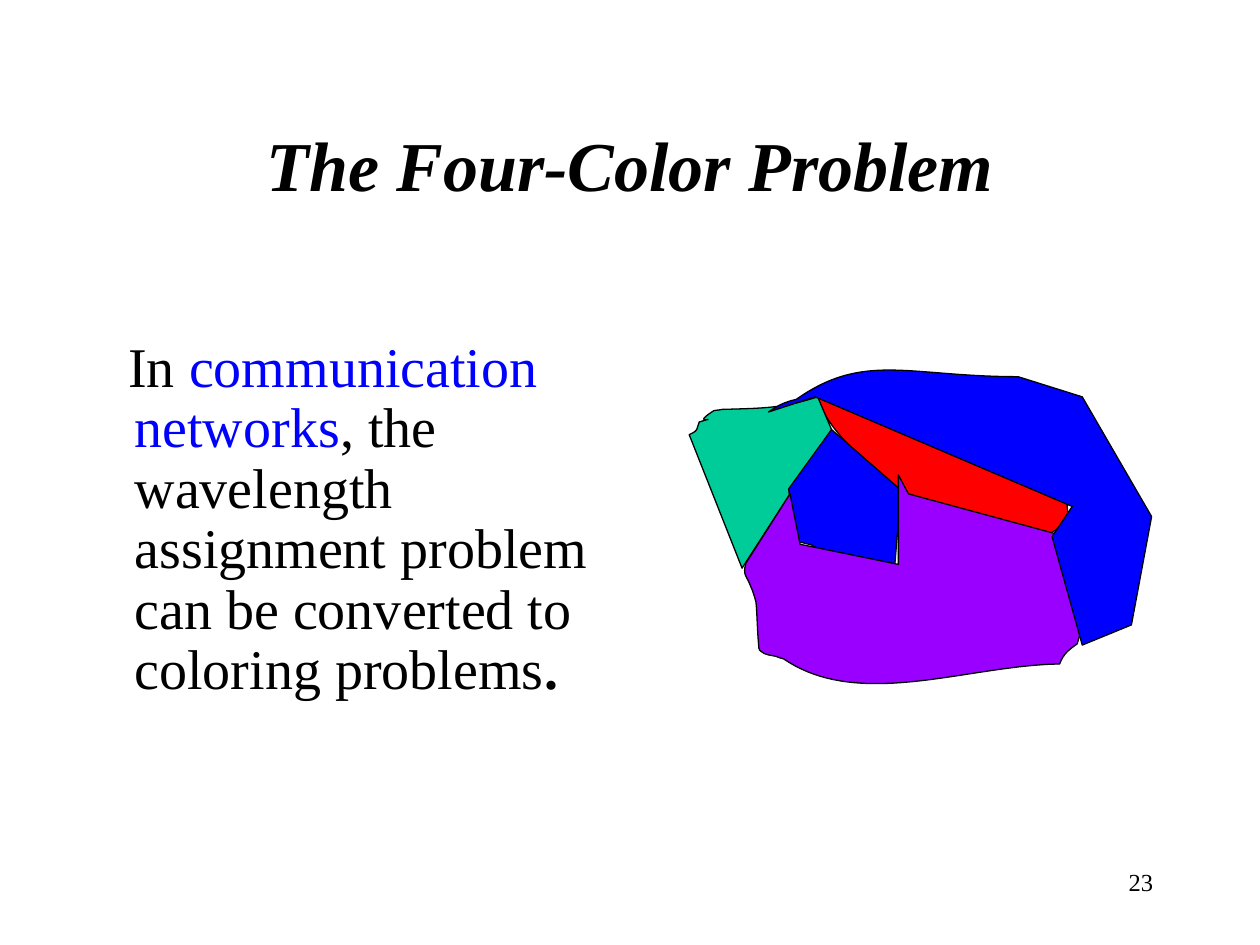
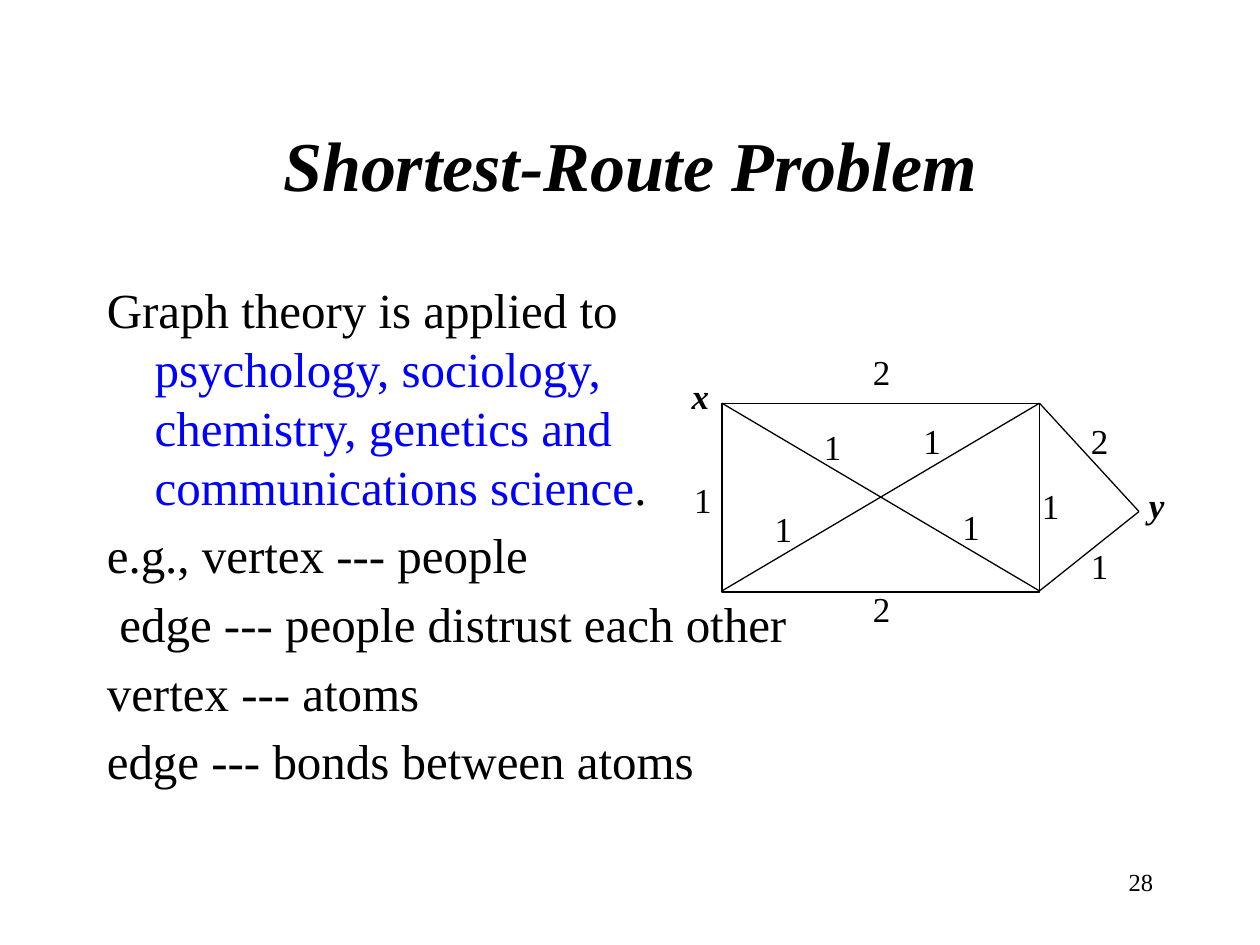
from pptx import Presentation
from pptx.dml.color import RGBColor
from pptx.enum import shapes, text
from pptx.oxml import ns
from pptx.util import Inches, Pt
from lxml import etree

# Shared style
FONT = "Times New Roman"
BLACK, BLUE, RED, GREEN, PURPLE = "000000", "0000FF", "FF0000", "00CC99", "9900FF"
OUTLINE = Pt(0.75)
HANGING = 0.38

# Map regions, back to front: a pair is a straight step,
# six numbers are a cubic curve (two control points and an end).
REGIONS = [
    (RED, (6.49, 3.15), [
        (6.55, 3.38, 6.77, 3.56, 6.92, 3.72), (6.96, 3.76, 7.02, 3.78, 7.06, 3.82),
        (7.1, 3.85, 7.13, 3.89, 7.18, 3.92), (7.23, 3.94, 7.29, 3.95, 7.34, 3.98),
        (7.66, 4.14, 7.23, 3.97, 7.59, 4.13), (7.79, 4.22, 7.97, 4.23, 8.18, 4.25),
        (8.28, 4.28, 8.35, 4.23, 8.43, 4.17), (8.5, 4.07, 8.47, 4.14, 8.47, 3.98),
        (6.49, 3.15)]),
    (GREEN, (6.49, 3.15), [
        (6.21, 3.24, 6.08, 3.24, 5.73, 3.25), (5.7, 3.26, 5.67, 3.25, 5.65, 3.27),
        (5.47, 3.39, 5.74, 3.29, 5.55, 3.35), (5.54, 3.37, 5.54, 3.39, 5.53, 3.41),
        (5.52, 3.43, 5.47, 3.45, 5.47, 3.45), (5.89, 4.51), (6.6, 3.41),
        (6.49, 3.15)]),
    (BLUE, (6.26, 3.88), [
        (6.26, 3.9, 6.3, 4.25, 6.32, 4.29), (6.32, 4.3, 6.43, 4.32, 6.45, 4.33),
        (6.59, 4.42, 6.53, 4.38, 6.63, 4.45), (6.66, 4.47, 6.7, 4.46, 6.73, 4.47),
        (6.91, 4.51, 6.86, 4.51, 7.1, 4.51), (7.15, 3.89), (6.6, 3.41),
        (6.26, 3.88)]),
    (PURPLE, (5.92, 4.47), [
        (5.89, 4.57, 5.93, 4.57, 5.96, 4.66), (5.98, 4.7, 6, 4.78, 6, 4.78),
        (6.01, 4.89, 6.01, 5, 6.02, 5.11), (6.02, 5.13, 6.02, 5.16, 6.04, 5.17),
        (6.07, 5.2, 6.12, 5.2, 6.16, 5.21), (6.18, 5.22, 6.22, 5.23, 6.22, 5.23),
        (6.82, 5.64, 7.68, 5.28, 8.41, 5.27), (8.44, 5.19, 8.48, 5.16, 8.55, 5.11),
        (8.57, 5.03, 8.57, 5.06, 8.57, 5.02), (8.39, 4.24), (7.21, 3.92),
        (7.13, 3.77), (7.13, 4.48), (6.35, 4.32), (6.27, 3.92), (5.92, 4.47)]),
    (BLUE, (6.1, 3.27), [
        (6.17, 3.22, 6.23, 3.19, 6.32, 3.17), (6.86, 2.79, 7.21, 2.99, 8.08, 2.99),
        (8.59, 3.15), (9.14, 4.1), (8.98, 4.96), (8.59, 5.12), (8.35, 4.26),
        (8.51, 4.02), (6.47, 3.15), (6.1, 3.27)]),
]

# Route graph: corners of the rectangle, the far vertex y, and label places
LEFT, RIGHT, TOP, BOTTOM = 5.73, 8.25, 3.2, 4.69
VERTEX_Y = (9.04, 4.06)
ROUTES = [
    ((LEFT, TOP), (RIGHT, BOTTOM)), ((LEFT, BOTTOM), (RIGHT, TOP)),
    ((RIGHT, TOP), VERTEX_Y), ((RIGHT, BOTTOM), VERTEX_Y),
]
WEIGHTS = {
    "1": [(5.41, 3.75), (6.05, 3.98), (6.44, 3.33), (7.54, 3.96),
          (7.23, 3.28), (8.17, 3.8), (8.56, 4.27)],
    "2": [(8.56, 3.28), (6.83, 2.73), (6.83, 4.61)],
}
VERTEX_NAMES = {"x": (5.39, 2.92), "y": (9.02, 3.79)}


def color(hex_value):
    return RGBColor.from_string(hex_value)


def add_run(paragraph, words, size, hex_value=BLACK, bold=False, italic=False):
    run = paragraph.add_run()
    run.text = words
    font = run.font
    font.name, font.size, font.bold, font.italic = FONT, Pt(size), bold, italic
    font.color.rgb = color(hex_value)


def add_frame(slide, left, top, width, height):
    frame = slide.shapes.add_textbox(
        Inches(left), Inches(top), Inches(width), Inches(height)).text_frame
    frame.word_wrap = True
    return frame


def add_label(slide, words, place, width, bold_italic=False):
    frame = add_frame(slide, *place, width, 0.43)
    add_run(frame.paragraphs[0], words, 20, bold=bold_italic, italic=bold_italic)


def add_body(slide, box, size, paragraphs, line_spacing=1.0, inset_top=0.05):
    """Each paragraph is (first line shift, [(words, colour, bold), ...])."""
    frame = add_frame(slide, *box)
    frame.margin_top = Inches(inset_top)
    for number, (shift, runs) in enumerate(paragraphs):
        paragraph = frame.add_paragraph() if number else frame.paragraphs[0]
        paragraph.line_spacing = line_spacing
        paragraph.space_before = Pt(0.2 * size)
        properties = paragraph._p.get_or_add_pPr()
        properties.set("marL", str(Inches(HANGING)))
        properties.set("indent", str(Inches(shift - HANGING)))
        for words, hex_value, bold in runs:
            add_run(paragraph, words, size, hex_value, bold)


def add_slide(deck, title, number):
    slide = deck.slides.add_slide(deck.slide_layouts[6])
    # Slide number
    page = add_frame(slide, 7.17, 6.83, 2.08, 0.5).paragraphs[0]
    page.alignment = text.PP_ALIGN.RIGHT
    add_run(page, str(number), 14)
    # Title
    heading = add_frame(slide, 0.75, 0.67, 8.5, 1.25)
    heading.vertical_anchor = text.MSO_ANCHOR.MIDDLE
    heading.paragraphs[0].alignment = text.PP_ALIGN.CENTER
    add_run(heading.paragraphs[0], title, 40, bold=True, italic=True)
    return slide


def set_outline(shape):
    shape.line.color.rgb = color(BLACK)
    shape.line.width = OUTLINE


def bend_curves(region, steps):
    """Join the three straight segments of each cubic step into one curve."""
    segments = iter(list(region._element.iter(ns.qn("a:lnTo"))))
    for step in steps:
        parts = [next(segments) for _ in range(len(step) // 2)]
        if len(parts) == 3:
            curve = etree.Element(ns.qn("a:cubicBezTo"))
            parts[0].addprevious(curve)
            for part in parts:
                curve.append(part[0])
                part.getparent().remove(part)


def add_region(slide, hex_value, start, steps):
    points = [(Inches(x), Inches(y))
              for step in steps for x, y in zip(step[::2], step[1::2])]
    builder = slide.shapes.build_freeform(Inches(start[0]), Inches(start[1]))
    builder.add_line_segments(points, close=True)
    region = builder.convert_to_shape()
    bend_curves(region, steps)
    region.shadow.inherit = False
    region.fill.solid()
    region.fill.fore_color.rgb = color(hex_value)
    set_outline(region)


def add_route(slide, start, end):
    ends = [Inches(value) for value in (*start, *end)]
    route = slide.shapes.add_connector(shapes.MSO_CONNECTOR.STRAIGHT, *ends)
    set_outline(route)
    etree.SubElement(route._element.spPr, ns.qn("a:effectLst"))


def add_route_graph(slide):
    square = slide.shapes.add_shape(
        shapes.MSO_SHAPE.RECTANGLE, Inches(LEFT), Inches(TOP),
        Inches(RIGHT - LEFT), Inches(1.5))
    square.shadow.inherit = False
    square.fill.background()
    set_outline(square)
    for start, end in ROUTES:
        add_route(slide, start, end)
    for weight, places in WEIGHTS.items():
        for place in places:
            add_label(slide, weight, place, 0.55)
    for name, place in VERTEX_NAMES.items():
        add_label(slide, name, place, 0.49, bold_italic=True)


def main():
    deck = Presentation()
    deck.slide_width, deck.slide_height = Inches(10), Inches(7.5)

    # Four-colour map
    coloring = add_slide(deck, "The Four-Color Problem", 23)
    add_body(coloring, (0.59, 2.02, 4.65, 4.5), 32, [
        (0.33, [("In ", BLACK, False),
                ("communication networks", BLUE, False),
                (", the wavelength assignment problem can be converted to "
                 "coloring problems", BLACK, False),
                (".", BLACK, True)]),
    ], line_spacing=0.9, inset_top=0.67)
    for region in REGIONS:
        add_region(coloring, *region)

    # Weighted graph
    routing = add_slide(deck, "Shortest-Route Problem", 28)
    add_body(routing, (0.75, 2.17, 5.67, 4.5), 28, [
        (0, [("Graph theory is applied to ", BLACK, False),
             ("psychology, sociology, chemistry, genetics and "
              "communications science", BLUE, False),
             (".", BLACK, False)]),
        (0, [("e.g., vertex --- people", BLACK, False)]),
        (0.1, [("edge --- people distrust each other", BLACK, False)]),
        (0, [("vertex --- atoms", BLACK, False)]),
        (0, [("edge --- bonds between atoms", BLACK, False)]),
    ])
    add_route_graph(routing)

    deck.save("out.pptx")


if __name__ == "__main__":
    main()
